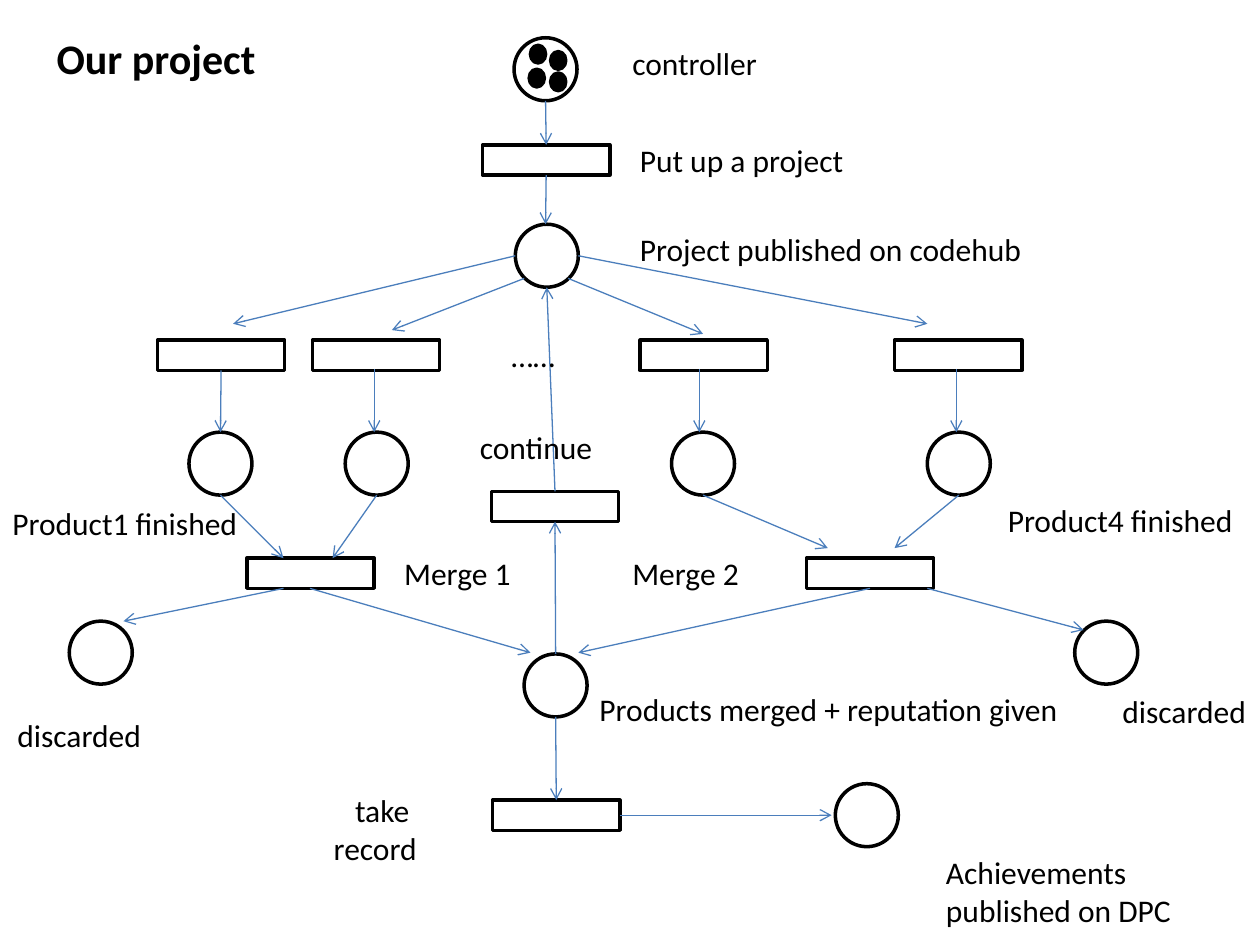
from lxml import etree
from pptx import Presentation
from pptx.dml.color import RGBColor
from pptx.enum.shapes import MSO_CONNECTOR, MSO_SHAPE
from pptx.enum.text import MSO_AUTO_SIZE
from pptx.oxml.ns import qn
from pptx.util import Emu, Pt

PX = 9144
RECTANGLE = MSO_SHAPE.RECTANGLE
ELLIPSE = MSO_SHAPE.OVAL
STRAIGHT = MSO_CONNECTOR.STRAIGHT
FIT_SHAPE = MSO_AUTO_SIZE.SHAPE_TO_FIT_TEXT
TOP, BOTTOM, RIGHT = 0, 2, 3
BLACK = "000000"
BLUE = "4B7EBC"


def color(hex_string):
    return RGBColor.from_string(hex_string)


def add_outline(kind, left, top, width, height):
    shape = slide.shapes.add_shape(kind, left * PX, top * PX, width * PX, height * PX)
    shape.shadow.inherit = False
    shape.fill.background()
    shape.line.color.rgb = color(BLACK)
    shape.line.width = Pt(2)
    return shape


presentation = Presentation()
presentation.slide_width = Emu(1000 * PX)
presentation.slide_height = Emu(750 * PX)
slide = presentation.slides.add_slide(presentation.slide_layouts[6])

transitions = {}
for name, left, top in [
    ("put up", 383, 115),
    ("branch 1", 125, 270),
    ("branch 2", 248, 270),
    ("branch 3", 508, 270),
    ("branch 4", 710, 270),
    ("continue", 390, 390),
    ("merge 1", 196, 443),
    ("merge 2", 640, 443),
    ("record", 391, 635),
]:
    transitions[name] = add_outline(RECTANGLE, left, top, 101, 24)

for left, top in [
    (408, 30), (409, 178),
    (150, 343), (274, 343), (533, 343), (736, 343),
    (55, 493), (853, 493), (416, 519), (663, 622),
]:
    add_outline(ELLIPSE, left, top, 50, 50)

for left, top in [(421, 36), (437, 41), (420, 55), (437, 58)]:
    token = add_outline(ELLIPSE, left, top, 12, 14)
    token.fill.solid()
    token.fill.fore_color.rgb = color(BLACK)

for x1, y1, x2, y2, begin, end in [
    (433, 80, 433, 115, None, ("put up", TOP)),
    (434, 139, 433, 178, ("put up", BOTTOM), None),
    (409, 203, 185, 257, None, None),
    (416, 221, 311, 262, None, None),
    (451, 221, 558, 265, None, None),
    (459, 203, 736, 257, None, None),
    (175, 293, 175, 343, ("branch 1", BOTTOM), None),
    (297, 293, 297, 343, None, None),
    (555, 293, 555, 343, None, None),
    (759, 293, 759, 343, None, None),
    (175, 393, 225, 443, None, None),
    (299, 393, 264, 443, None, None),
    (558, 393, 657, 435, None, None),
    (761, 393, 710, 435, None, None),
    (225, 467, 98, 493, None, None),
    (246, 467, 421, 518, None, None),
    (690, 467, 459, 518, ("merge 2", BOTTOM), None),
    (736, 467, 860, 500, None, None),
    (441, 519, 441, 413, None, ("continue", BOTTOM)),
    (441, 390, 434, 228, ("continue", TOP), None),
    (441, 569, 441, 635, None, ("record", TOP)),
    (492, 647, 660, 647, ("record", RIGHT), None),
]:
    connector = slide.shapes.add_connector(STRAIGHT, x1 * PX, y1 * PX, x2 * PX, y2 * PX)
    if begin:
        connector.begin_connect(transitions[begin[0]], begin[1])
    if end:
        connector.end_connect(transitions[end[0]], end[1])
    connector.line.color.rgb = color(BLUE)
    connector.line.width = Pt(0.75)
    etree.SubElement(connector.line._get_or_add_ln(), qn("a:tailEnd"), type="arrow")
    etree.SubElement(connector._element.spPr, qn("a:effectLst"))

for text, left, top, width, height, size, bold, indent in [
    ("Our project", 35, 21, 348, 50, 24, True, 0),
    ("controller", 492, 30, 150, 41, 18, False, 0),
    ("Put up a project", 498, 107, 291, 40, 18, False, 0),
    ("Project published on codehub", 498, 178, 380, 40, 18, False, 0),
    ("……", 396, 262, 75, 40, 18, False, 0),
    ("continue", 371, 335, 129, 40, 18, False, 0),
    ("Product1 finished", 0, 395, 244, 40, 18, False, 0),
    ("Product4 finished", 790, 393, 246, 40, 18, False, 0),
    ("Merge 1", 311, 435, 173, 40, 18, False, 0),
    ("Merge 2", 492, 435, 125, 40, 18, False, 0),
    ("discarded", 4, 563, 156, 40, 18, False, 0),
    ("discarded", 853, 544, 156, 40, 18, False, 28),
    ("Products merged + reputation given", 466, 543, 387, 40, 18, False, 0),
    ("take record", 255, 623, 138, 71, 18, False, 17),
    ("Achievements published on DPC", 741, 672, 247, 71, 18, False, 0),
]:
    label = slide.shapes.add_textbox(left * PX, top * PX, width * PX, height * PX)
    label.text_frame.word_wrap = True
    label.text_frame.auto_size = FIT_SHAPE
    paragraph = label.text_frame.paragraphs[0]
    if indent:
        paragraph._p.get_or_add_pPr().set("indent", str(indent * PX))
    run = paragraph.add_run()
    run.text = text
    run.font.name = "Calibri"
    run.font.size = Pt(size)
    run.font.bold = bold
    run.font.color.rgb = color(BLACK)

presentation.save("out.pptx")
